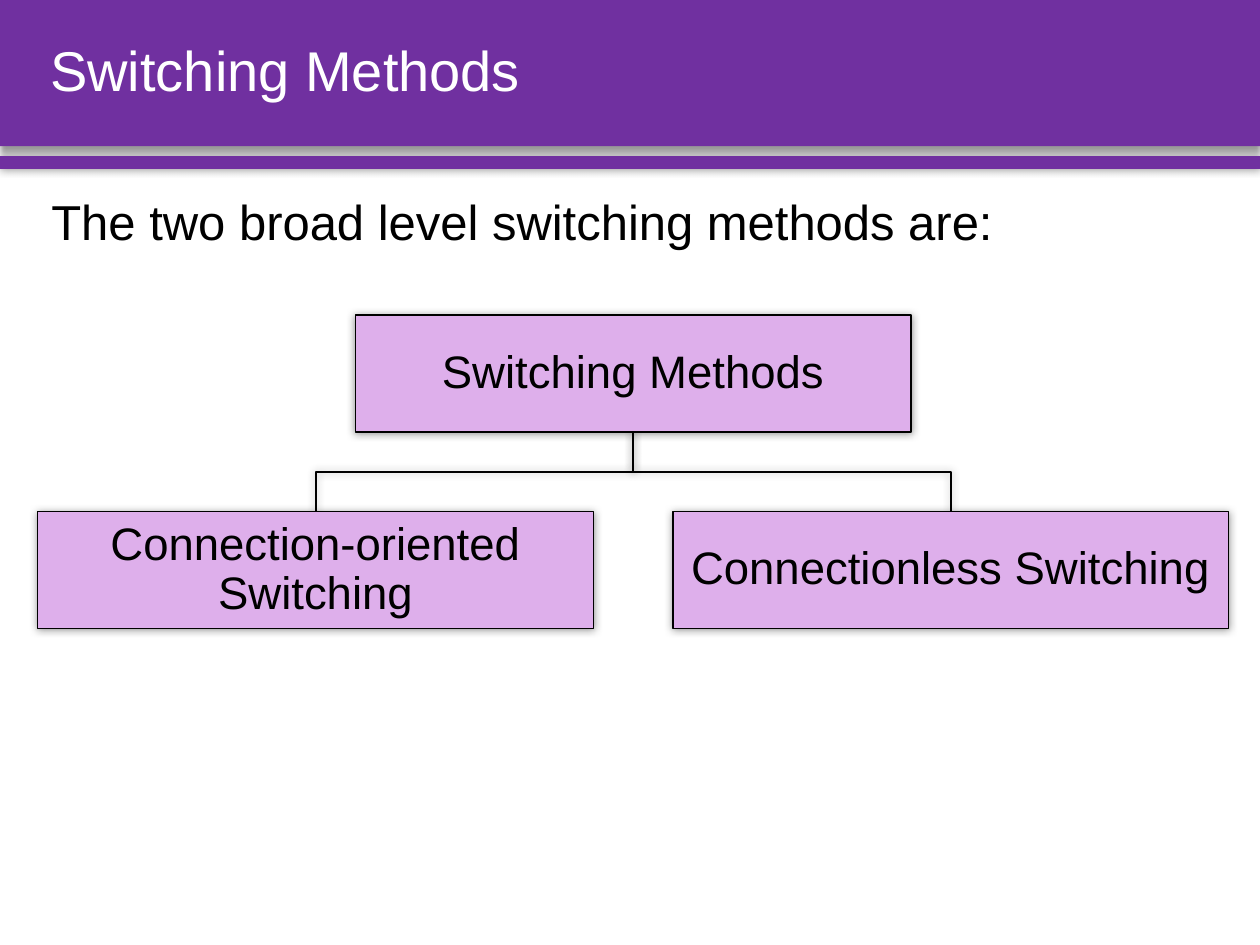
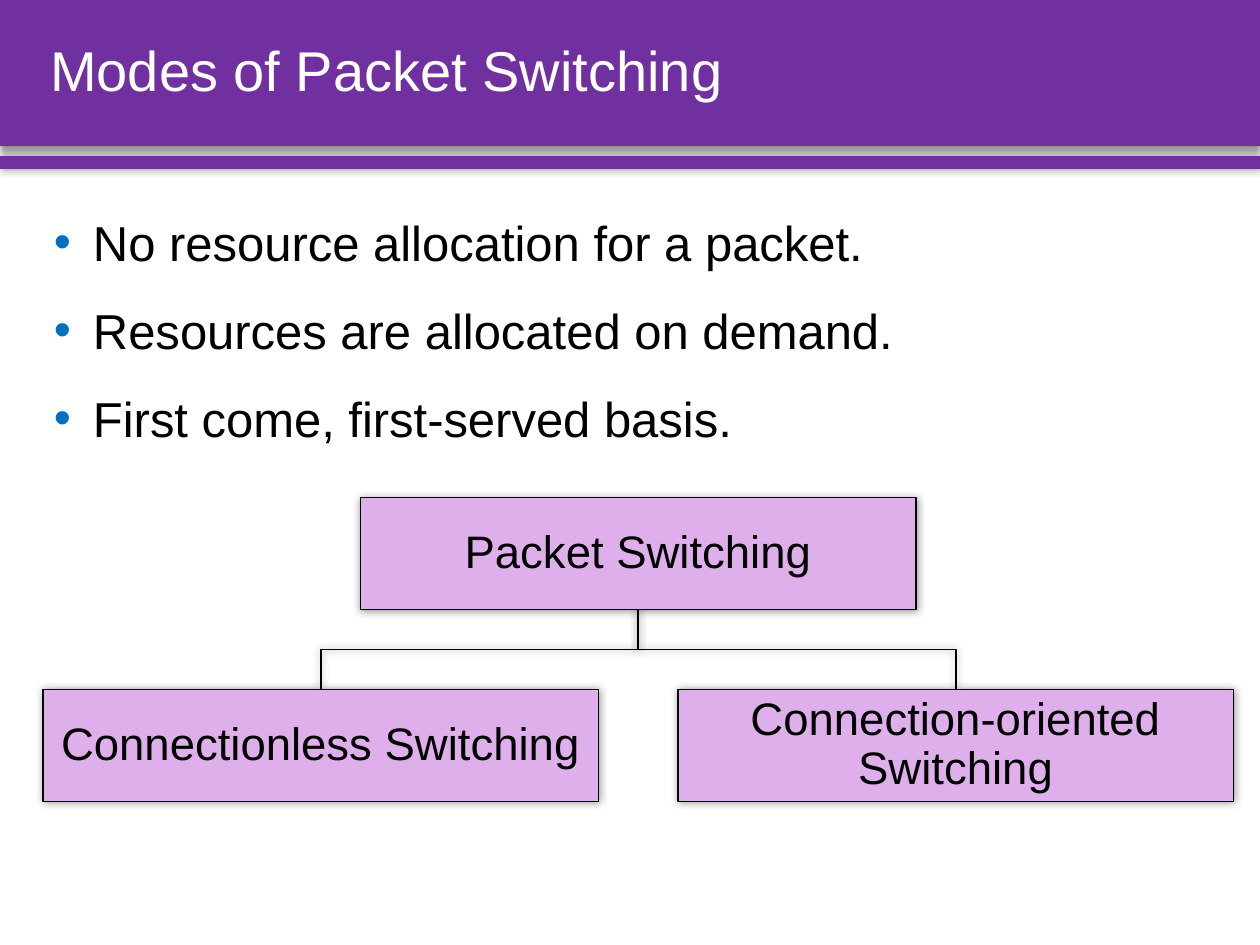
"""Build two slides on switching methods, each with a two-leaf tree diagram."""
from dataclasses import dataclass

from lxml import etree
from pptx import Presentation
from pptx.dml.color import RGBColor
from pptx.enum.shapes import MSO_SHAPE
from pptx.enum.text import MSO_ANCHOR, PP_ALIGN
from pptx.oxml.ns import qn
from pptx.util import Inches, Pt

RECT = MSO_SHAPE.RECTANGLE
TOP, MIDDLE = MSO_ANCHOR.TOP, MSO_ANCHOR.MIDDLE
LEFT, CENTER, JUSTIFY = PP_ALIGN.LEFT, PP_ALIGN.CENTER, PP_ALIGN.JUSTIFY

PURPLE = RGBColor(0x70, 0x30, 0xA0)
LILAC = RGBColor(0xDE, 0xAF, 0xEB)
BLUE = RGBColor(0x00, 0x70, 0xC0)
BLACK = RGBColor(0x00, 0x00, 0x00)
WHITE = RGBColor(0xFF, 0xFF, 0xFF)

FONT = "Arial"
SLIDE_W, SLIDE_H = Inches(10), Inches(7.5)
COLS, ROWS = 1000, 750
NODE_W, NODE_GAP, LEVEL_GAP = 441, 63, 63
BULLET_INDENT = 31


@dataclass(frozen=True)
class Area:
    """A rectangle in grid columns and rows."""
    left: int
    top: int
    width: int
    height: int

    @property
    def center(self) -> float:
        return self.left + self.width / 2

    @property
    def bottom(self) -> int:
        return self.top + self.height


@dataclass(frozen=True)
class Tree:
    """A root node above a row of leaf nodes."""
    left: int
    top: int
    node_height: int
    root: str
    leaves: tuple[str, ...]


HEADER = Area(0, 0, COLS, 116)
STRIPE = Area(0, 124, COLS, 10)
TITLE = Area(30, 0, 946, 116)


def col(n: float) -> int:
    return round(SLIDE_W * n / COLS)


def row(n: float) -> int:
    return round(SLIDE_H * n / ROWS)


def place(area: Area) -> tuple[int, int, int, int]:
    return col(area.left), row(area.top), col(area.width), row(area.height)


def add_shadow(sp, blur: float = 5, dist: float = 0, angle: int = 0) -> None:
    sp.shadow.inherit = False
    effects = sp._element.spPr.find(qn("a:effectLst"))
    outer = etree.SubElement(effects, qn("a:outerShdw"), blurRad=str(Pt(blur)),
                             dist=str(Pt(dist)), dir=str(angle * 60000),
                             algn="ctr", rotWithShape="0")
    color = etree.SubElement(outer, qn("a:srgbClr"), val=str(BLACK))
    etree.SubElement(color, qn("a:alpha"), val="40000")


def add_bullet(p) -> None:
    pPr = p._p.get_or_add_pPr()
    pPr.set("marL", str(col(BULLET_INDENT)))
    pPr.set("indent", str(-col(BULLET_INDENT)))
    color = etree.SubElement(pPr, qn("a:buClr"))
    etree.SubElement(color, qn("a:srgbClr"), val=str(BLUE))
    etree.SubElement(pPr, qn("a:buFont"), typeface=FONT)
    etree.SubElement(pPr, qn("a:buChar"), char="•")


def write(sp, *lines: str, size: int = 28, color: RGBColor = BLACK,
          align: PP_ALIGN = LEFT, anchor: MSO_ANCHOR = TOP, spacing: float = 0.9,
          inset: tuple[float, float] = (0.1, 0.05), bullets: bool = False) -> None:
    tf = sp.text_frame
    tf.word_wrap = True
    tf.vertical_anchor = anchor
    tf.margin_left = tf.margin_right = Inches(inset[0])
    tf.margin_top = tf.margin_bottom = Inches(inset[1])
    for i, line in enumerate(lines):
        p = tf.add_paragraph() if i else tf.paragraphs[0]
        p.alignment = align
        p.line_spacing = spacing
        if bullets:
            add_bullet(p)
        r = p.add_run()
        r.text = line
        r.font.name, r.font.size = FONT, Pt(size)
        r.font.color.rgb = color


def add_text(slide, area: Area, *lines: str, **style) -> None:
    write(slide.shapes.add_textbox(*place(area)), *lines, **style)


def add_rect(slide, area: Area, fill: RGBColor, line: RGBColor | None = None,
             **shadow):
    sp = slide.shapes.add_shape(RECT, *place(area))
    sp.fill.solid()
    sp.fill.fore_color.rgb = fill
    if line is None:
        sp.line.fill.background()
    else:
        sp.line.color.rgb = line
        sp.line.width = Pt(0.75)
    add_shadow(sp, **shadow)
    return sp


def add_branch(slide, parent: Area, child: Area) -> None:
    bend = (parent.bottom + child.top) / 2
    points = [(parent.center, parent.bottom), (parent.center, bend),
              (child.center, bend), (child.center, child.top)]
    start, *rest = [(col(x), row(y)) for x, y in points]
    builder = slide.shapes.build_freeform(*start)
    builder.add_line_segments(rest, close=False)
    sp = builder.convert_to_shape()
    sp.fill.background()
    sp.line.color.rgb = BLACK
    sp.line.width = Pt(1)
    add_shadow(sp)


def add_node(slide, area: Area, text: str) -> None:
    sp = add_rect(slide, area, LILAC, BLACK)
    write(sp, text, size=26, align=CENTER, anchor=MIDDLE, inset=(0.02, 0.02))


def add_tree(slide, tree: Tree) -> None:
    step = NODE_W + NODE_GAP
    h = tree.node_height
    root_left = tree.left + step * (len(tree.leaves) - 1) // 2
    root = Area(root_left, tree.top, NODE_W, h)
    leaves = [Area(tree.left + i * step, root.bottom + LEVEL_GAP, NODE_W, h)
              for i in range(len(tree.leaves))]
    for leaf in leaves:
        add_branch(slide, root, leaf)
    add_node(slide, root, tree.root)
    for leaf, text in zip(leaves, tree.leaves):
        add_node(slide, leaf, text)


def add_slide(prs, title: str):
    slide = prs.slides.add_slide(prs.slide_layouts[6])
    add_rect(slide, HEADER, PURPLE, blur=4, dist=3, angle=90)
    add_rect(slide, STRIPE, PURPLE)
    add_text(slide, TITLE, title, size=32, color=WHITE, anchor=MIDDLE)
    return slide


def main() -> None:
    prs = Presentation()
    prs.slide_width, prs.slide_height = SLIDE_W, SLIDE_H

    slide = add_slide(prs, "Switching Methods")
    add_text(slide, Area(31, 152, 946, 546),
             "The two broad level switching methods are:")
    add_tree(slide, Tree(30, 250, 93, "Switching Methods",
                         ("Connection-oriented Switching",
                          "Connectionless Switching")))

    slide = add_slide(prs, "Modes of Packet Switching")
    add_text(slide, Area(33, 140, 946, 215),
             "No resource allocation for a packet.",
             "Resources are allocated on demand.",
             "First come, first-served basis.",
             align=JUSTIFY, spacing=1.5, bullets=True)
    add_tree(slide, Tree(34, 395, 89, "Packet Switching",
                         ("Connectionless Switching",
                          "Connection-oriented Switching")))

    prs.save("out.pptx")


if __name__ == "__main__":
    main()
